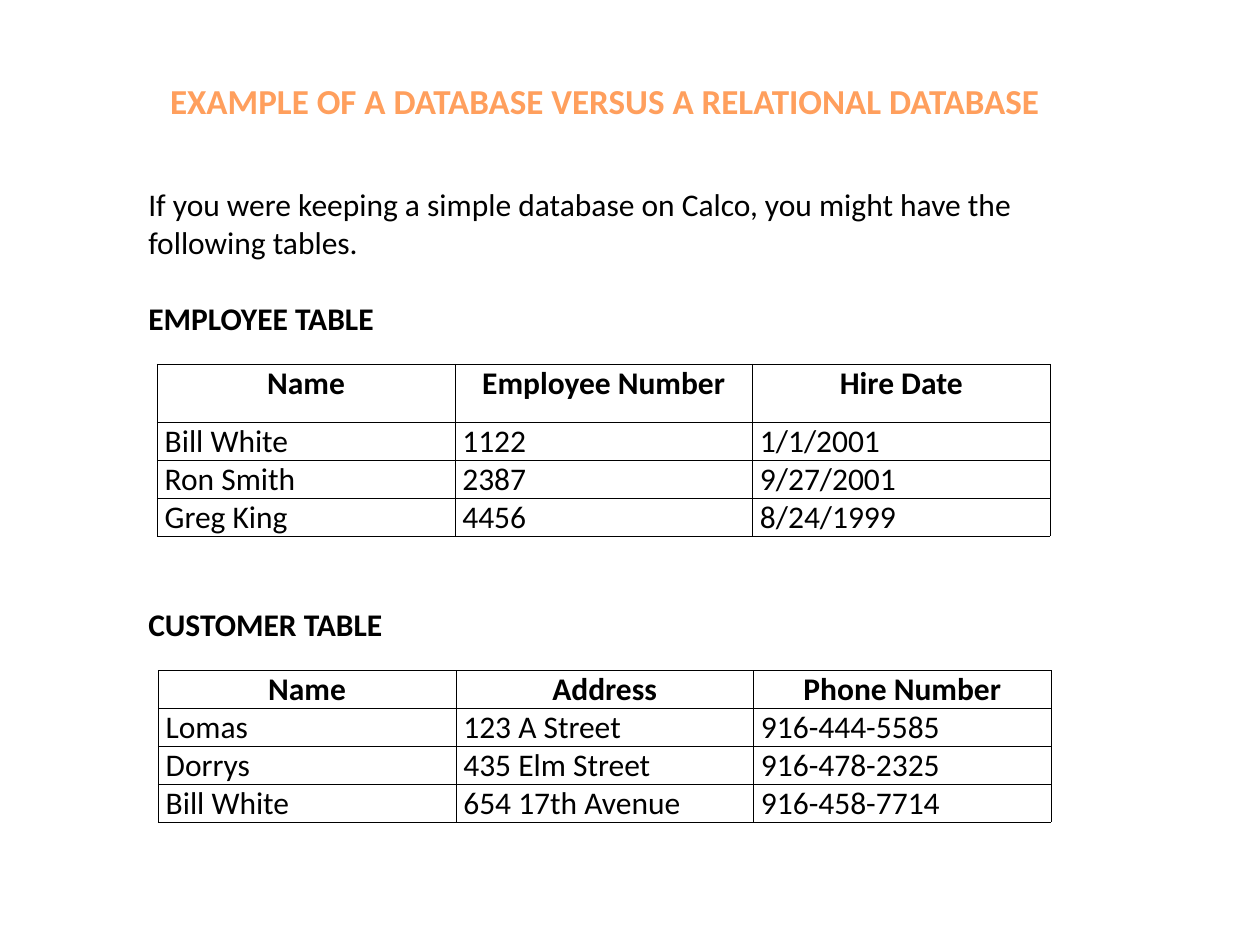
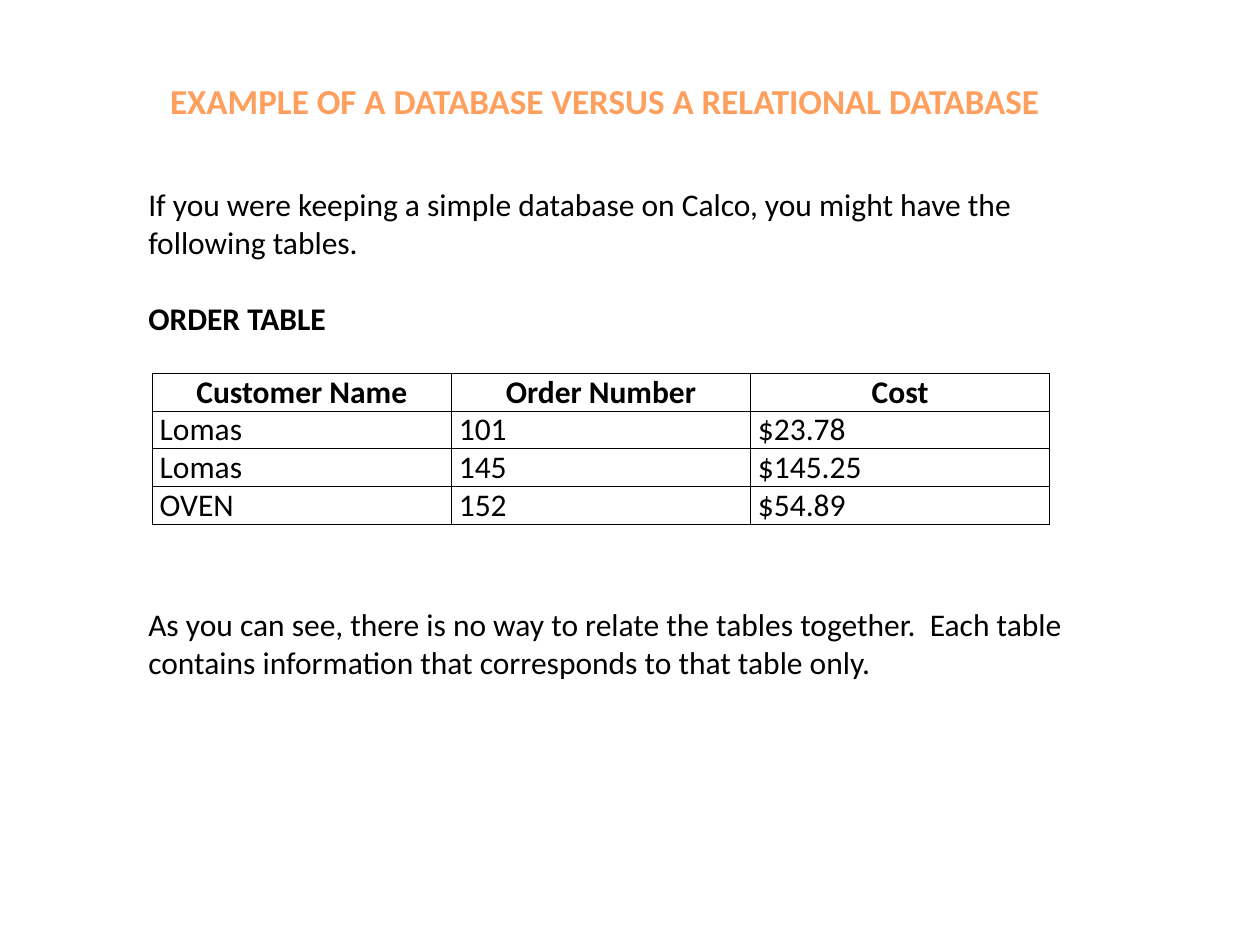
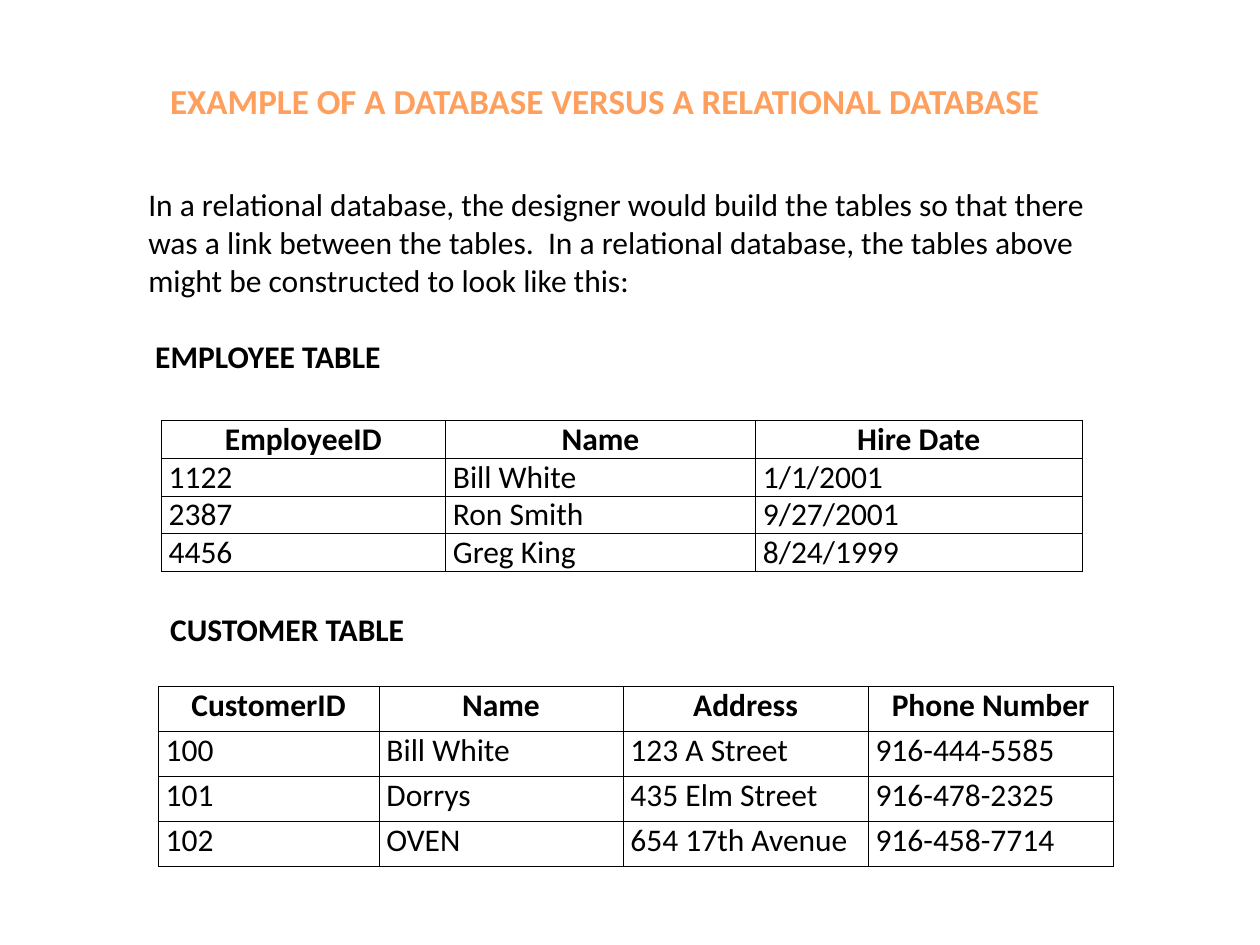
from dataclasses import dataclass

from lxml.etree import SubElement
from pptx import Presentation
from pptx.dml.color import RGBColor as RGB
from pptx.enum.text import PP_ALIGN as ALIGN
from pptx.oxml.ns import qn
from pptx.util import Cm, Pt


@dataclass(frozen=True)
class Theme:
    font: str = "Calibri"
    title_color: RGB = RGB(0xFF, 0x9F, 0x5D)
    ink: RGB = RGB(0, 0, 0)
    title_size: Pt = Pt(20)
    body_size: Pt = Pt(18)
    blank_line: Pt = Pt(22)
    border: Pt = Pt(0.4)
    cell_inset: Cm = Cm(0.15)
    row: Cm = Cm(0.76)


THEME = Theme()
TITLE = "EXAMPLE OF A DATABASE VERSUS A RELATIONAL DATABASE"
INTRO = ("If you were keeping a simple database on Calco, "
         "you might have the following tables.")
NO_LINK = ("As you can see, there is no way to relate the tables together.  "
           "Each table contains information that corresponds to that table only.")
LINKED = ("In a relational database, the designer would build the tables so that "
          "there was a link between the tables.  In a relational database, the "
          "tables above might be constructed to look like this:")

EMPLOYEES = [
    ("Name", "Employee Number", "Hire Date"),
    ("Bill White", "1122", "1/1/2001"),
    ("Ron Smith", "2387", "9/27/2001"),
    ("Greg King", "4456", "8/24/1999"),
]
CUSTOMERS = [
    ("Name", "Address", "Phone Number"),
    ("Lomas", "123 A Street", "916-444-5585"),
    ("Dorrys", "435 Elm Street", "916-478-2325"),
    ("Bill White", "654 17th Avenue", "916-458-7714"),
]
ORDERS = [
    ("Customer Name", "Order Number", "Cost"),
    ("Lomas", "101", "$23.78"),
    ("Lomas", "145", "$145.25"),
    ("OVEN", "152", "$54.89"),
]
LINKED_EMPLOYEES = [
    ("EmployeeID", "Name", "Hire Date"),
    ("1122", "Bill White", "1/1/2001"),
    ("2387", "Ron Smith", "9/27/2001"),
    ("4456", "Greg King", "8/24/1999"),
]
LINKED_CUSTOMERS = [
    ("CustomerID", "Name", "Address", "Phone Number"),
    ("100", "Bill White", "123 A Street", "916-444-5585"),
    ("101", "Dorrys", "435 Elm Street", "916-478-2325"),
    ("102", "OVEN", "654 17th Avenue", "916-458-7714"),
]


def write(p, text, bold=False, size=THEME.body_size, color=THEME.ink):
    p.text = text
    for r in p.runs:
        r.font.name = THEME.font
        r.font.size = size
        r.font.bold = bold
        r.font.color.rgb = color


def add_text_box(s, left, top, width, height):
    tf = s.shapes.add_textbox(Cm(left), Cm(top), Cm(width), Cm(height)).text_frame
    tf.word_wrap = True
    return tf


def add_title_slide(prs):
    """Add a blank slide that carries the shared title."""
    s = prs.slides.add_slide(prs.slide_layouts[6])
    tf = add_text_box(s, 3.18, 1.47, 21.8, 1.12)
    write(tf.paragraphs[0], TITLE, True, THEME.title_size, THEME.title_color)
    return s


def add_intro(s, text, heading, height=6.4, indent=0):
    """Add the opening paragraph and, one line below it, a table heading."""
    tf = add_text_box(s, 2.74, 3.61, 19.74, height)
    write(tf.paragraphs[0], text)
    p = tf.add_paragraph()
    write(p, heading, bold=True)
    p.space_before = THEME.blank_line
    if indent:
        p._p.get_or_add_pPr().set("marL", str(Cm(indent)))


def add_note(s, text, bold=False, left=2.74, top=12.07, width=19.74, height=3.33):
    write(add_text_box(s, left, top, width, height).paragraphs[0], text, bold)


def set_borders(cell):
    tc_pr = cell._tc.get_or_add_tcPr()
    for side in ("lnL", "lnR", "lnT", "lnB"):
        ln = SubElement(tc_pr, qn(f"a:{side}"), w=str(THEME.border))
        fill = SubElement(ln, qn("a:solidFill"))
        SubElement(fill, qn("a:srgbClr"), val=str(THEME.ink))


def format_cell(cell, text, is_header):
    cell.margin_left = cell.margin_right = THEME.cell_inset
    cell.margin_top = cell.margin_bottom = 0
    set_borders(cell)
    cell.fill.background()
    p = cell.text_frame.paragraphs[0]
    write(p, text, bold=is_header)
    p.alignment = ALIGN.CENTER if is_header else ALIGN.LEFT


def add_grid(s, rows, left, top, widths, row=THEME.row, header=None):
    """Add a ruled table; header is the first row's height if it differs."""
    heights = [header or row] + [row] * (len(rows) - 1)
    table = s.shapes.add_table(len(rows), len(widths), Cm(left), Cm(top),
                               Cm(sum(widths)), sum(heights)).table
    table.horz_banding = False
    for column, width in zip(table.columns, widths):
        column.width = Cm(width)
    for i, (values, height) in enumerate(zip(rows, heights)):
        table.rows[i].height = height
        for j, value in enumerate(values):
            format_cell(table.cell(i, j), value, is_header=i == 0)


def add_simple_tables(prs):
    s = add_title_slide(prs)
    add_intro(s, INTRO, "EMPLOYEE TABLE")
    add_grid(s, EMPLOYEES, 3.17, 7.34, [6] * 3, header=Cm(1.18))
    add_note(s, "CUSTOMER TABLE", bold=True)
    add_grid(s, CUSTOMERS, 3.19, 13.52, [6] * 3)


def add_order_table(prs):
    s = add_title_slide(prs)
    add_intro(s, INTRO, "ORDER TABLE")
    add_note(s, NO_LINK)
    add_grid(s, ORDERS, 3.07, 7.52, [6.03] * 3)


def add_linked_tables(prs):
    s = add_title_slide(prs)
    add_intro(s, LINKED, "EMPLOYEE TABLE", height=7.19, indent=0.14)
    add_grid(s, LINKED_EMPLOYEES, 3.25, 8.47, [5.73, 6.25, 6.58])
    add_note(s, "CUSTOMER TABLE", True, 3.18, 12.17, 7.34, 1.02)
    add_grid(s, LINKED_CUSTOMERS, 3.19, 13.83, [4.45, 4.92, 4.94, 4.94], Cm(0.91))


def main():
    prs = Presentation()
    prs.slide_width, prs.slide_height = Cm(25.4), Cm(19.05)
    add_simple_tables(prs)
    add_order_table(prs)
    add_linked_tables(prs)
    prs.save("out.pptx")


if __name__ == "__main__":
    main()
